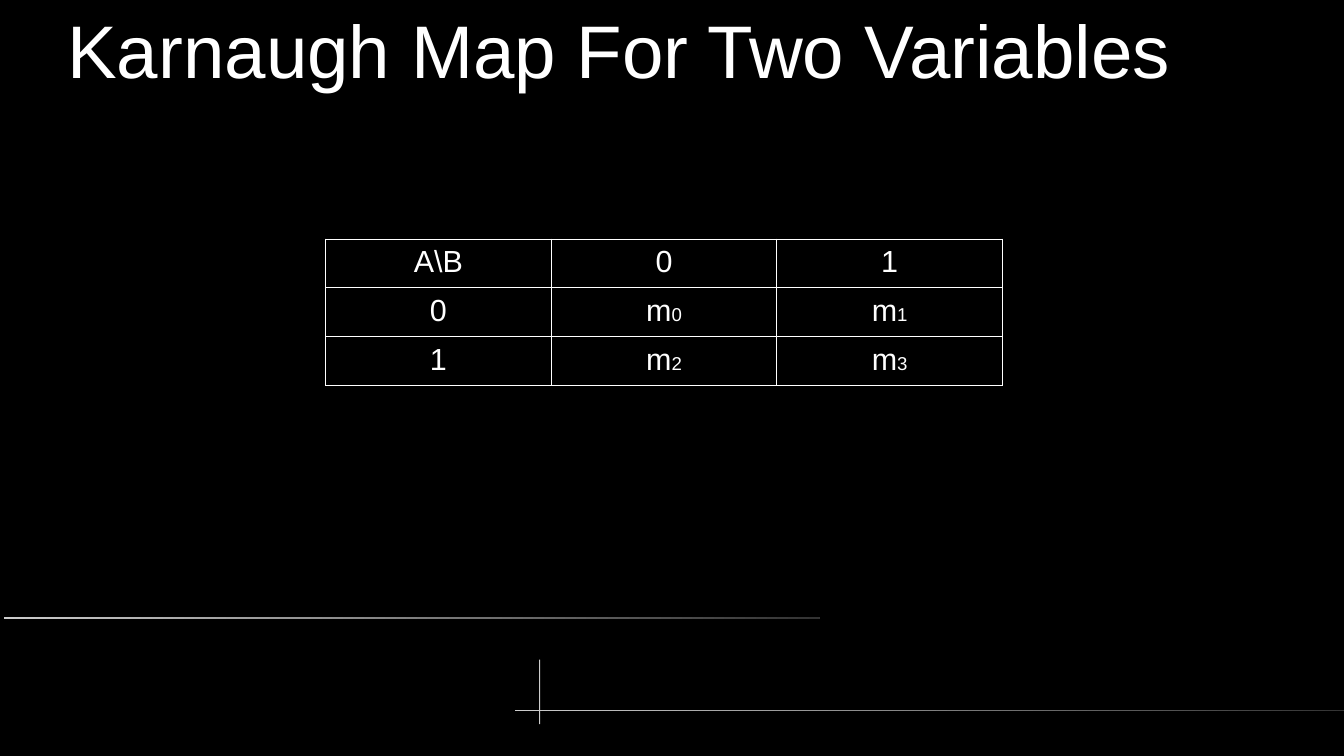
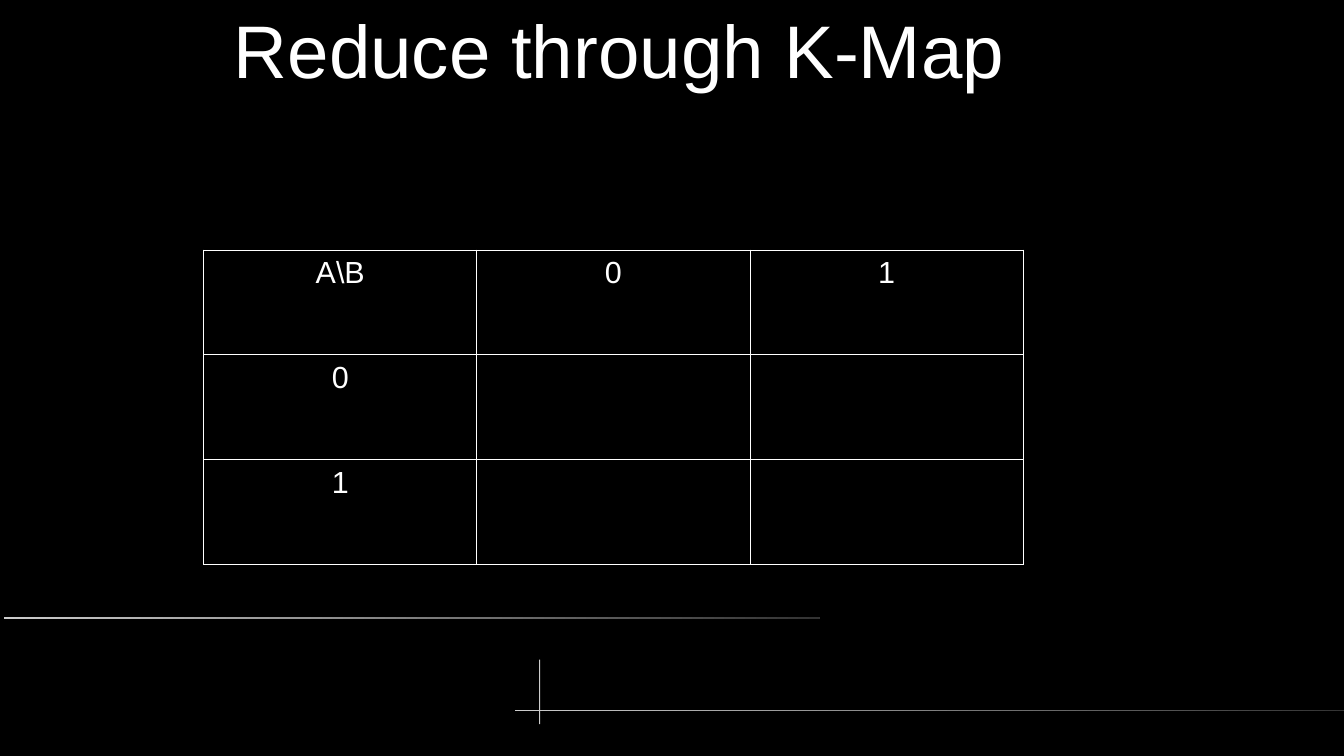
"""Build two slides with Karnaugh maps for two variables."""
from dataclasses import dataclass

from lxml.etree import SubElement
from pptx import Presentation
from pptx.dml.color import RGBColor
from pptx.enum.shapes import MSO_SHAPE
from pptx.enum.text import MSO_ANCHOR, PP_ALIGN
from pptx.oxml.ns import qn
from pptx.util import Inches, Pt


@dataclass(frozen=True)
class Theme:
    background: RGBColor = RGBColor(0x00, 0x00, 0x00)
    text: RGBColor = RGBColor(0xFF, 0xFF, 0xFF)
    rule_start: RGBColor = RGBColor(0xCC, 0xCC, 0xCC)
    rule_end: RGBColor = RGBColor(0x33, 0x33, 0x33)
    font: str = "Arial"
    title_size: Pt = Pt(44)
    cell_size: Pt = Pt(18)
    subscript_size: Pt = Pt(11)
    border_width: Pt = Pt(0.57)


theme = Theme()

rules = [
    (0.03, 5.06, 6.69, 0.02, True),
    (4.22, 5.82, 6.82, 0.01, True),
    (4.42, 5.41, 0.01, 0.53, False),
]

maps = [
    {
        "title": "Karnaugh Map For Two Variables",
        "at": (2.67, 1.96), "column": 1.85, "row": 0.38,
        "cells": [["A\\B", "0", "1"], ["0", "m0", "m1"], ["1", "m2", "m3"]],
    },
    {
        "title": "Reduce through K-Map",
        "at": (1.67, 2.05), "column": 2.24, "row": 0.86,
        "cells": [["A\\B", "0", "1"], ["0", "", ""], ["1", "", ""]],
    },
]


def style_paragraph(para, size):
    para.alignment = PP_ALIGN.CENTER
    para.font.name = theme.font
    para.font.size = size
    para.font.color.rgb = theme.text


def add_borders(cell):
    properties = cell._tc.get_or_add_tcPr()
    for position, side in enumerate(("lnL", "lnR", "lnT", "lnB")):
        line = SubElement(properties, qn(f"a:{side}"), w=str(theme.border_width))
        fill = SubElement(line, qn("a:solidFill"))
        SubElement(fill, qn("a:srgbClr"), val=str(theme.text))
        properties.insert(position, line)


deck = Presentation()
deck.slide_width, deck.slide_height = Inches(11.02), Inches(6.2)

for karnaugh in maps:
    page = deck.slides.add_slide(deck.slide_layouts[6])
    page.background.fill.solid()
    page.background.fill.fore_color.rgb = theme.background

    for left, top, width, height, fades in rules:
        kind = MSO_SHAPE.ROUNDED_RECTANGLE if fades else MSO_SHAPE.RECTANGLE
        rule = page.shapes.add_shape(
            kind, Inches(left), Inches(top), Inches(width), Inches(height))
        rule.shadow.inherit = False
        rule.line.fill.background()
        if fades:
            rule.adjustments[0] = 0.5
            rule.fill.gradient()
            rule.fill.gradient_angle = 0
            for stop, color, position in zip(
                    rule.fill.gradient_stops, (theme.rule_start, theme.rule_end), (0, 1)):
                stop.color.rgb = color
                stop.position = position
        else:
            rule.fill.solid()
            rule.fill.fore_color.rgb = theme.rule_start

    box = page.shapes.add_textbox(Inches(0.16), Inches(0.04), Inches(9.84), Inches(0.72))
    frame = box.text_frame
    frame.word_wrap = True
    frame.vertical_anchor = MSO_ANCHOR.MIDDLE
    frame.margin_left = frame.margin_right = frame.margin_top = frame.margin_bottom = 0
    frame.text = karnaugh["title"]
    style_paragraph(frame.paragraphs[0], theme.title_size)

    cells = karnaugh["cells"]
    left, top = karnaugh["at"]
    rows, columns = len(cells), len(cells[0])
    table = page.shapes.add_table(
        rows, columns, Inches(left), Inches(top),
        Inches(karnaugh["column"] * columns), Inches(karnaugh["row"] * rows)).table
    table.first_row = table.horz_banding = False

    for row, texts in enumerate(cells):
        for column, text in enumerate(texts):
            cell = table.cell(row, column)
            cell.margin_left = cell.margin_right = Inches(0.04)
            cell.margin_top = cell.margin_bottom = Inches(0.05)
            cell.fill.background()
            add_borders(cell)
            para = cell.text_frame.paragraphs[0]
            style_paragraph(para, theme.cell_size)
            if text.startswith("m"):
                para.add_run().text = text[0]
                subscript = para.add_run()
                subscript.text = text[1:]
                subscript.font.size = theme.subscript_size
            elif text:
                para.add_run().text = text

deck.save("out.pptx")
